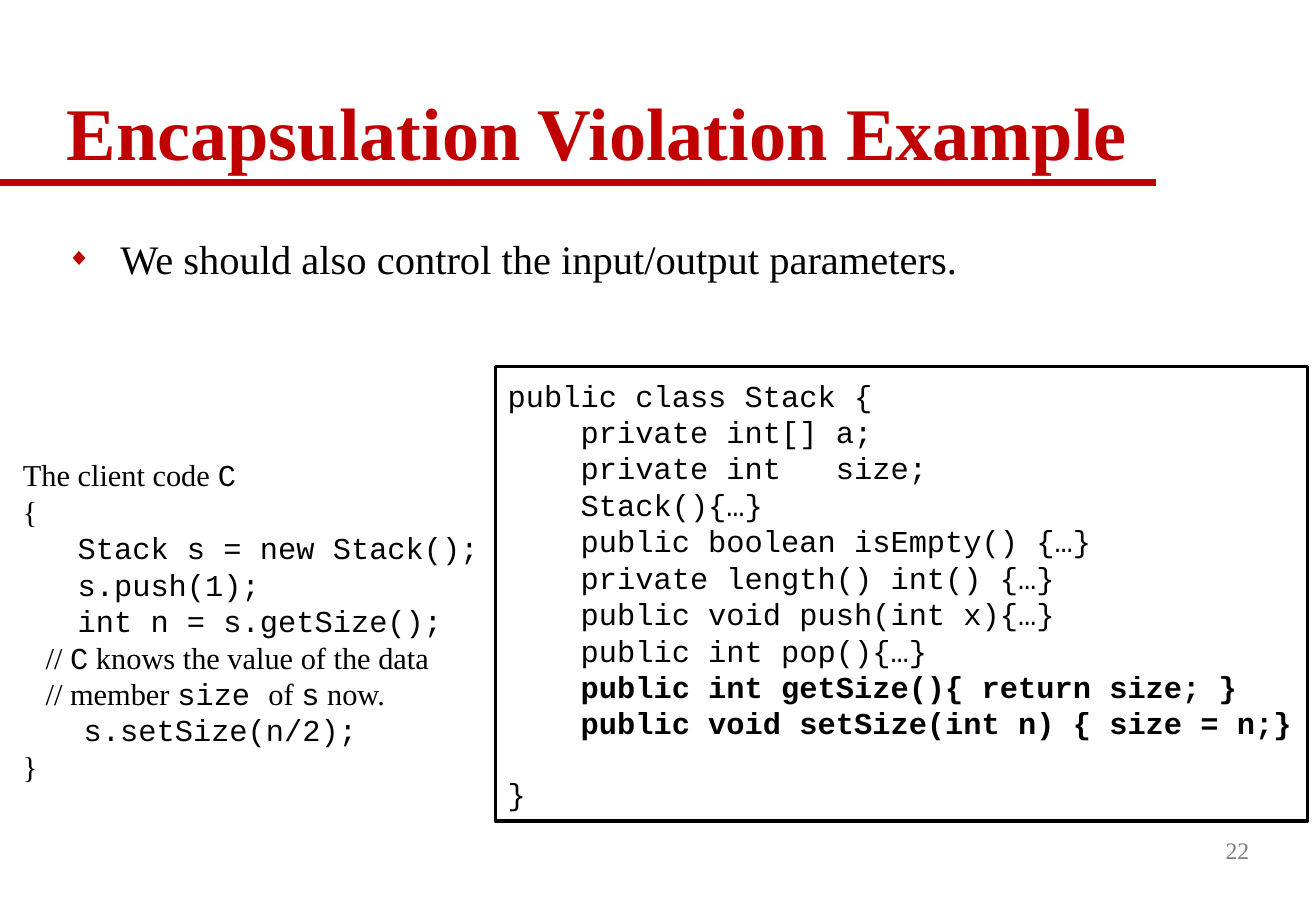
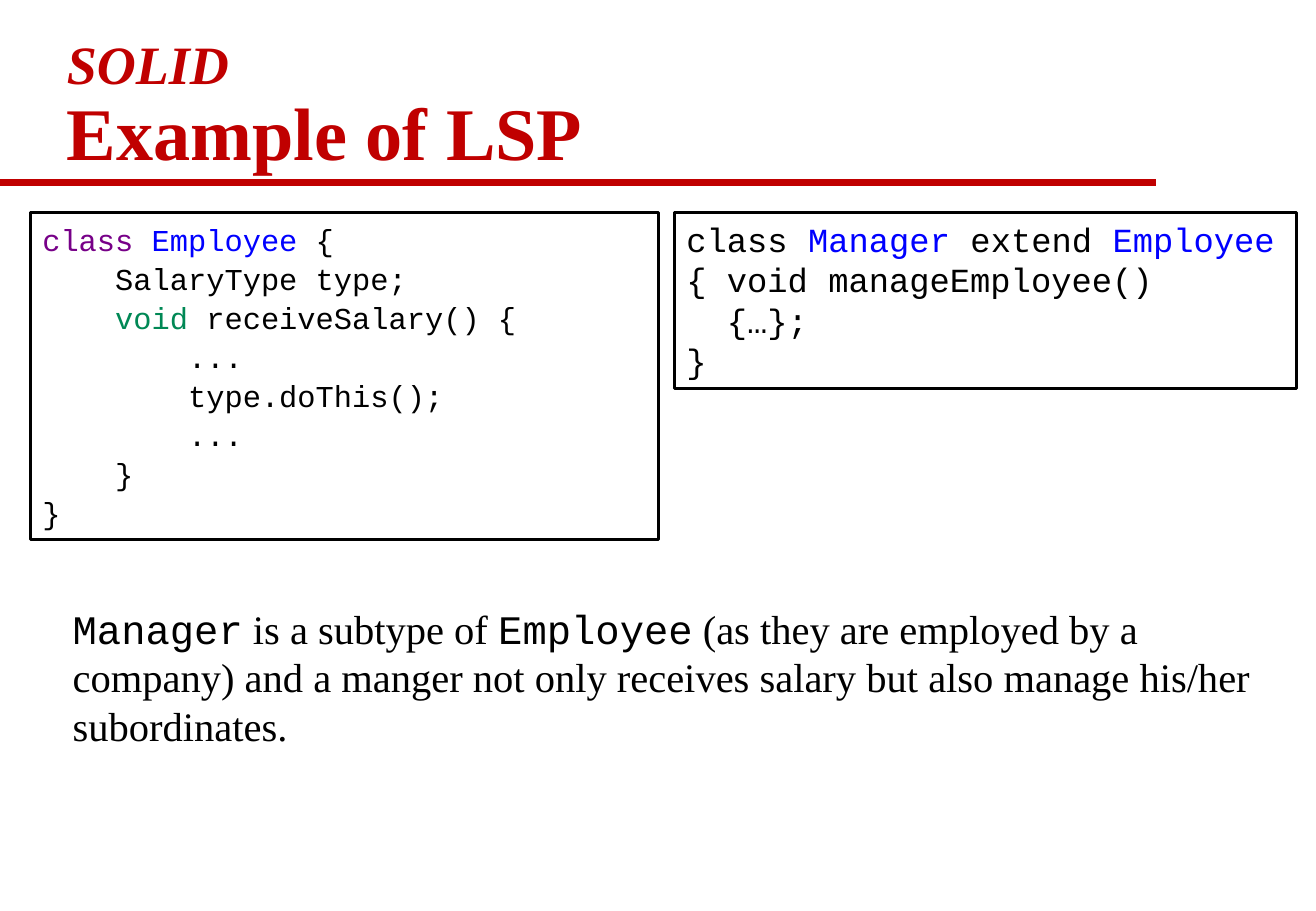
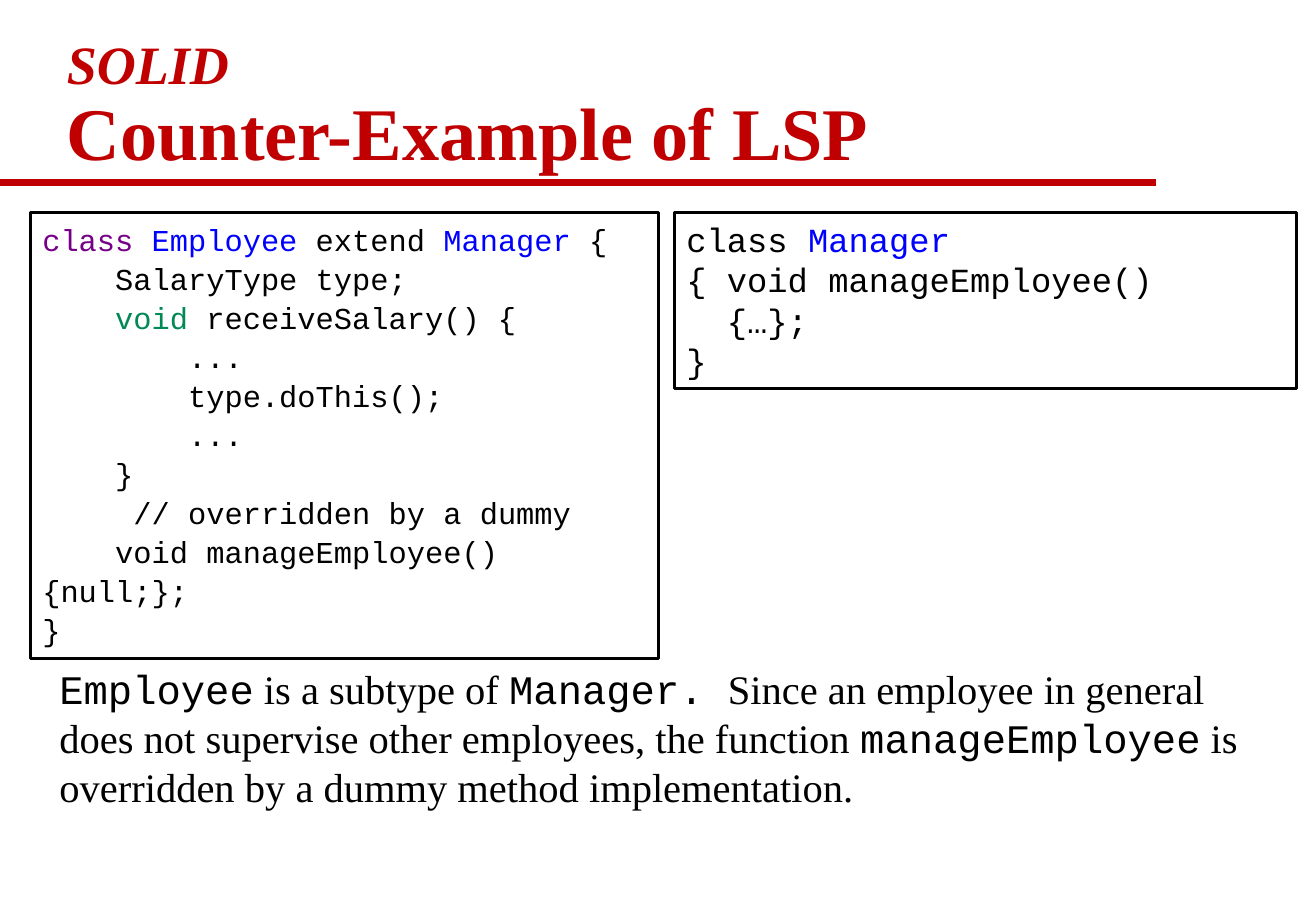
import pptx
import pptx.dml.color
import pptx.enum.shapes
import pptx.enum.text
import pptx.oxml.ns
import pptx.util
from lxml import etree

PX = 9144
COLORS = {
    "red": "C00000",
    "black": "000000",
    "white": "FFFFFF",
    "gray": "808080",
    "keyword": "770088",
    "class": "0000FF",
    "type": "008855",
}
SERIF = "Times New Roman"
MONO = "Courier New"
CODE = {"font": MONO}
BOLD = {"bold": True}
KEYWORD = {"color": "keyword"}
CLASS = {"color": "class"}
TYPE = {"color": "type"}
ANCHOR = pptx.enum.text.MSO_ANCHOR
ALIGN = pptx.enum.text.PP_ALIGN
FIT = pptx.enum.text.MSO_AUTO_SIZE

TITLE_BOX = (45, 29, 988, 121)
BODY_BOX = (45, 188, 988, 537)
NUMBER_BOX = (812, 675, 226, 50)
CLIENT_BOX = (9, 371, 399, 283)
STACK_BOX = (408, 302, 668, 374)
MANAGER_BOX = (555, 175, 512, 145)

CLIENT_CODE = [
    ["The client code ", ("C", CODE)],
    "{",
    [("   Stack s = new Stack();", CODE)],
    [("   s.push(1);", CODE)],
    [("   int n = s.getSize();", CODE)],
    ["   // ", ("C", CODE), " knows the value of the data"],
    ["   // member ", ("size ", CODE), "of ", ("s", CODE), " now."],
    ["        ", ("s.setSize(n/2);", CODE)],
    "}",
]
STACK_CODE = [
    "public class Stack {",
    "    private int[] a;",
    "    private int   size;",
    "    Stack(){…}",
    "    public boolean isEmpty() {…}",
    "    private length() int() {…}",
    "    public void push(int x){…}",
    "    public int pop(){…}",
    [("    public int getSize(){ return size; }", BOLD)],
    [("    public void setSize(int n) { size = n;}", BOLD)],
    "}",
]
SALARY_CODE = [
    "    SalaryType type;",
    ["    ", ("void ", TYPE), "receiveSalary() {"],
    "        ...",
    "        type.doThis();",
    "        ...",
    "    }",
]
MANAGE_CODE = ["{ void manageEmployee()", "  {…};", "}"]


def px(*lengths):
    """Turn px lengths into EMU."""
    return [pptx.util.Emu(length * PX) for length in lengths]


def rgb(name):
    """Look up a named colour."""
    return pptx.dml.color.RGBColor.from_string(COLORS[name])


def write(paragraph, text, size=18, font=SERIF, color="black", bold=False, italic=False):
    """Add one formatted run to a paragraph."""
    run = paragraph.add_run()
    run.text = text
    run.font.size = pptx.util.Pt(size)
    run.font.name = font
    run.font.color.rgb = rgb(color)
    run.font.bold = bold
    run.font.italic = italic


def write_lines(frame, lines, spacing=1.0, align=ALIGN.LEFT, **style):
    """Write each line as a paragraph; a piece may override the style."""
    for index, line in enumerate(lines):
        paragraph = frame.paragraphs[0] if index == 0 else frame.add_paragraph()
        paragraph.alignment = align
        paragraph.line_spacing = spacing
        for piece in [line] if isinstance(line, str) else line:
            text, changes = (piece, {}) if isinstance(piece, str) else piece
            write(paragraph, text, **{**style, **changes})


def place(part, box):
    """Move a placeholder to a box."""
    part.left, part.top, part.width, part.height = px(*box)


def add_heading(slide, box, heading, kicker=None):
    """Fill the title and draw the red rule under it."""
    left, top, width, height = box
    title = slide.shapes.title
    place(title, box)
    frame = title.text_frame
    frame.auto_size = FIT.NONE
    frame.vertical_anchor = ANCHOR.BOTTOM
    paragraph = frame.paragraphs[0]
    paragraph.alignment = ALIGN.LEFT
    paragraph.line_spacing = 0.9
    if kicker:
        write(paragraph, kicker, size=32, color="red", bold=True, italic=True)
        paragraph.add_line_break()
    write(paragraph, heading, size=44, color="red", bold=True)
    bottom = top + height
    rule = slide.shapes.add_connector(
        pptx.enum.shapes.MSO_CONNECTOR.STRAIGHT, *px(0, bottom, 951, bottom))
    rule.line.color.rgb = rgb("red")
    rule.line.width = pptx.util.Pt(4)
    etree.SubElement(rule._element.spPr, pptx.oxml.ns.qn("a:effectLst"))


def add_bullet(slide, box, text):
    """Fill the body with one diamond bullet."""
    body = slide.placeholders[1]
    place(body, box)
    body.text_frame.auto_size = FIT.NONE
    paragraph = body.text_frame.paragraphs[0]
    paragraph.space_before = pptx.util.Pt(0)
    properties = paragraph._p.get_or_add_pPr()
    indent, = px(44)
    properties.set("marL", str(indent))
    properties.set("indent", str(-indent))
    qn = pptx.oxml.ns.qn
    color = etree.SubElement(properties, qn("a:buClr"))
    etree.SubElement(color, qn("a:srgbClr"), val=COLORS["red"])
    etree.SubElement(properties, qn("a:buSzPct"), val="60000")
    etree.SubElement(properties, qn("a:buFont"), typeface=SERIF)
    etree.SubElement(properties, qn("a:buChar"), char="◆")
    write(paragraph, text, size=24)


def add_panel(slide, box, lines, border=True, wrap=True, anchor=ANCHOR.TOP, **style):
    """Add a white panel of code lines and return its text frame."""
    panel = slide.shapes.add_shape(
        pptx.enum.shapes.MSO_SHAPE.RECTANGLE, *px(*box))
    panel.shadow.inherit = False
    panel.fill.solid()
    panel.fill.fore_color.rgb = rgb("white")
    if border:
        panel.line.color.rgb = rgb("black")
        panel.line.width = pptx.util.Pt(2)
    else:
        panel.line.fill.background()
    frame = panel.text_frame
    frame.word_wrap = wrap
    frame.auto_size = FIT.SHAPE_TO_FIT_TEXT
    frame.vertical_anchor = anchor
    write_lines(frame, lines, **style)
    return frame


def add_text(slide, box, lines, wrap=True, anchor=ANCHOR.TOP, **style):
    """Add a plain text box."""
    frame = slide.shapes.add_textbox(*px(*box)).text_frame
    frame.word_wrap = wrap
    frame.vertical_anchor = anchor
    write_lines(frame, lines, **style)


def build_encapsulation(deck):
    """Build the slide on violated encapsulation."""
    slide = deck.slides.add_slide(deck.slide_layouts[1])
    add_heading(slide, TITLE_BOX, "Encapsulation Violation Example")
    add_bullet(slide, BODY_BOX, "We should also control the input/output parameters.")
    add_text(slide, NUMBER_BOX, ["22"], wrap=False, anchor=ANCHOR.MIDDLE,
             align=ALIGN.RIGHT, size=14, color="gray")
    add_panel(slide, CLIENT_BOX, CLIENT_CODE, border=False)
    stack = add_panel(slide, STACK_BOX, STACK_CODE, wrap=False,
                      anchor=ANCHOR.MIDDLE, font=MONO)
    stack.paragraphs[-1].space_before = pptx.util.Pt(20)


def build_lsp(deck, heading, employee, employee_height, manager, remark_box, remark):
    """Build a slide that sets two classes side by side above a remark."""
    slide = deck.slides.add_slide(deck.slide_layouts[5])
    add_heading(slide, TITLE_BOX, heading, kicker="SOLID")
    add_panel(slide, (25, 175, 517, employee_height), employee, spacing=1.07, font=MONO)
    add_panel(slide, MANAGER_BOX, [manager, *MANAGE_CODE], size=20, font=MONO)
    add_text(slide, remark_box, [remark], size=24)


def main():
    """Build the deck and save it."""
    deck = pptx.Presentation()
    deck.slide_width, deck.slide_height = px(1083, 750)
    build_encapsulation(deck)
    build_lsp(
        deck, "Example of LSP",
        [[("class ", KEYWORD), ("Employee ", CLASS), "{"], *SALARY_CODE, "}"], 269,
        ["class ", ("Manager ", CLASS), "extend ", ("Employee", CLASS)],
        (50, 492, 1000, 131),
        [("Manager", CODE), " is a subtype of ", ("Employee", CODE),
         " (as they are employed by a company) and a manger not only receives "
         "salary but also manage his/her subordinates."])
    build_lsp(
        deck, "Counter-Example of LSP",
        [[("class ", KEYWORD), ("Employee ", CLASS), "extend ", ("Manager ", CLASS), "{"],
         *SALARY_CODE, "     // overridden by a dummy",
         "    void manageEmployee() {null;};", "}"], 367,
        ["class ", ("Manager", CLASS)],
        (39, 542, 1000, 131),
        [("Employee", CODE), " is a subtype of ", ("Manager. ", CODE),
         "Since an employee in general does not supervise other employees, the function ",
         ("manageEmployee", CODE), " is overridden by a dummy method implementation."])
    deck.save("out.pptx")


if __name__ == "__main__":
    main()
